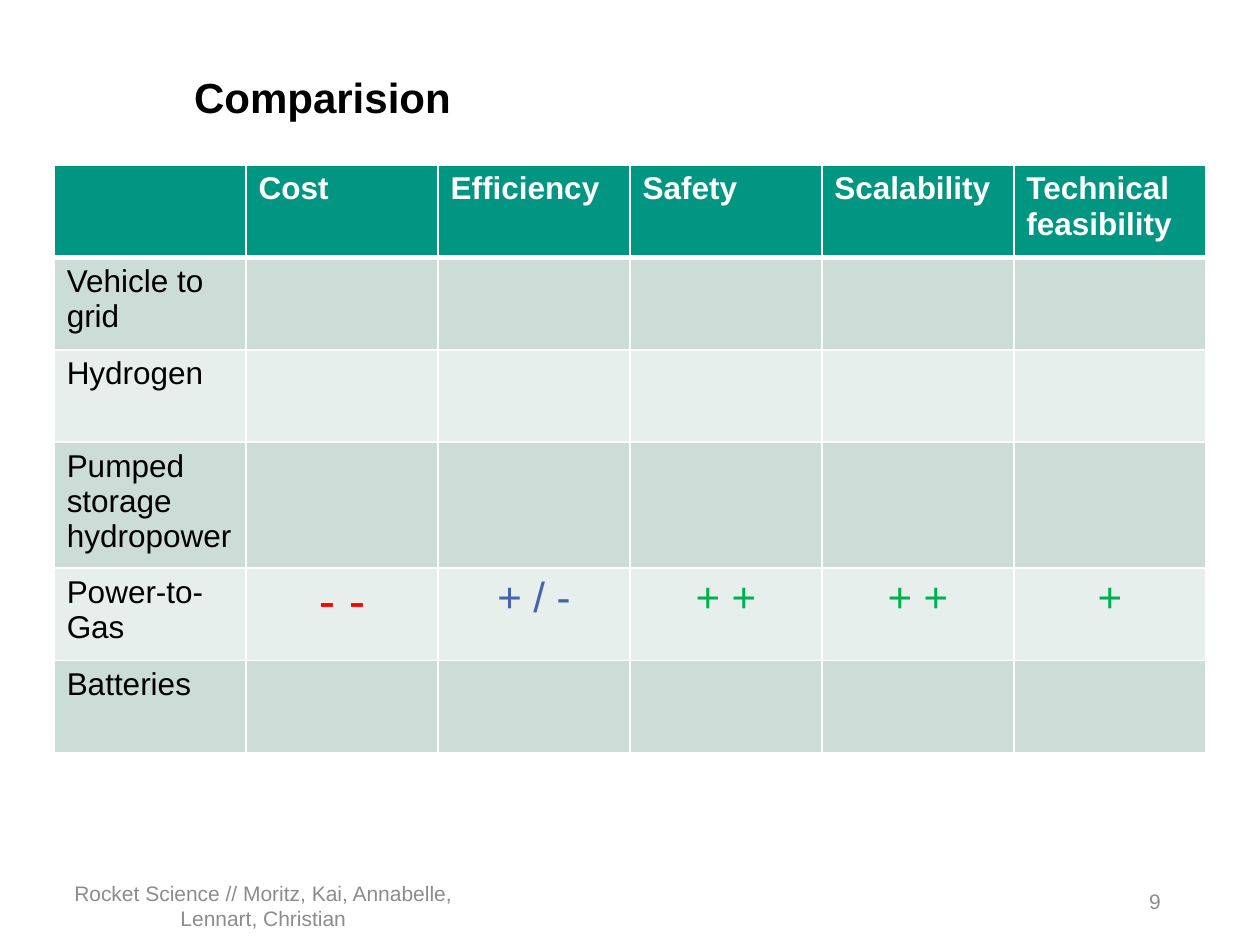
import pptx
import pptx.dml.color
import pptx.enum.text
import pptx.oxml.ns
import pptx.util
from lxml import etree

Inches = pptx.util.Inches
ALIGN = pptx.enum.text.PP_ALIGN
ANCHOR = pptx.enum.text.MSO_ANCHOR
WHITE, BLACK, GREY = "FFFFFF", "000000", "8C8C8C"
TEAL, BAND_DARK, BAND_LIGHT = "009682", "CCDDD8", "E7EFED"
RED, BLUE, GREEN = "FF0000", "4664AA", "00B050"

CRITERIA = ["", "Cost", "Efficiency", "Safety", "Scalability", "Technical feasibility"]
OPTIONS = ["Vehicle to grid", "Hydrogen ", "Pumped storage hydropower", "Power-to-Gas", "Batteries"]
RATINGS = {
    "Power-to-Gas": [("- -", 28, RED), ("+ / -", 24, BLUE), ("+ +", 24, GREEN),
                     ("+ +", 24, GREEN), ("+", 24, GREEN)],
}


def colour(value):
    """Turn a hex string into a colour."""
    return pptx.dml.color.RGBColor.from_string(value)


def write(frame, text, size, hue, bold=False, align=ALIGN.LEFT):
    """Write one formatted paragraph into a text frame."""
    para = frame.paragraphs[0]
    para.alignment = align
    span = para.add_run()
    span.text = text
    values = {"name": "Arial", "size": pptx.util.Pt(size), "bold": bold}
    for name, value in values.items():
        setattr(span.font, name, value)
    span.font.color.rgb = colour(hue)


def add_text(page, box, text, size, hue, anchor, margins=None, **style):
    """Place a wrapping text box at (left, top, width, height)."""
    frame = page.shapes.add_textbox(*map(Inches, box)).text_frame
    values = {"word_wrap": True, "vertical_anchor": anchor}
    if margins is not None:
        for side in ("left", "top", "right", "bottom"):
            values["margin_" + side] = Inches(margins)
    for name, value in values.items():
        setattr(frame, name, value)
    write(frame, text, size, hue, **style)


def set_borders(cell, widths):
    """Draw white cell borders; widths maps L, R, T, B to points."""
    properties = cell._tc.get_or_add_tcPr()
    qn = pptx.oxml.ns.qn
    for index, (side, width) in enumerate(widths.items()):
        line = etree.Element(qn("a:ln" + side), w=str(pptx.util.Pt(width)))
        fill = etree.SubElement(line, qn("a:solidFill"))
        etree.SubElement(fill, qn("a:srgbClr"), val=WHITE)
        properties.insert(index, line)


def add_comparison(page, box):
    """Place the table of storage options rated by criterion."""
    rows, columns = len(OPTIONS) + 1, len(CRITERIA)
    table = page.shapes.add_table(rows, columns, *map(Inches, box)).table
    for row in range(rows):
        fill = TEAL if row == 0 else (BAND_LIGHT, BAND_DARK)[row % 2]
        for column in range(columns):
            cell = table.cell(row, column)
            cell.fill.solid()
            cell.fill.fore_color.rgb = colour(fill)
            set_borders(cell, {"L": 1, "R": 1, "T": 3 if row == 1 else 1,
                               "B": 3 if row == 0 else 1})
    for column, criterion in enumerate(CRITERIA):
        if criterion:
            write(table.cell(0, column).text_frame, criterion, 18, WHITE, bold=True)
    for row, option in enumerate(OPTIONS, 1):
        write(table.cell(row, 0).text_frame, option, 18, BLACK)
        for column, rating in enumerate(RATINGS.get(option, []), 1):
            write(table.cell(row, column).text_frame, *rating, align=ALIGN.CENTER)


def add_footer(page, box, credit, number):
    """Place the centred credit and the page number within a footer strip."""
    left, top, width, height = box
    add_text(page, (left, top + 0.04, 3.38, height), credit, 12, GREY,
             ANCHOR.MIDDLE, align=ALIGN.CENTER)
    add_text(page, (left + width - 2.25, top, 2.25, height), number, 12, GREY,
             ANCHOR.MIDDLE, align=ALIGN.RIGHT)


def build():
    """Build and save the deck."""
    deck = pptx.Presentation()
    deck.slide_width, deck.slide_height = Inches(10), Inches(7.5)
    page = deck.slides.add_slide(deck.slide_layouts[6])
    add_text(page, (1.54, 0.36, 6.45, 0.61), "Comparision", 24, BLACK,
             ANCHOR.BOTTOM, margins=0, bold=True)
    add_comparison(page, (0.43, 1.31, 9.14, 4.4))
    add_footer(page, (0.4, 6.95, 8.91, 0.4),
               "Rocket Science // Moritz, Kai, Annabelle, Lennart, Christian", "9")
    deck.save("out.pptx")


build()
